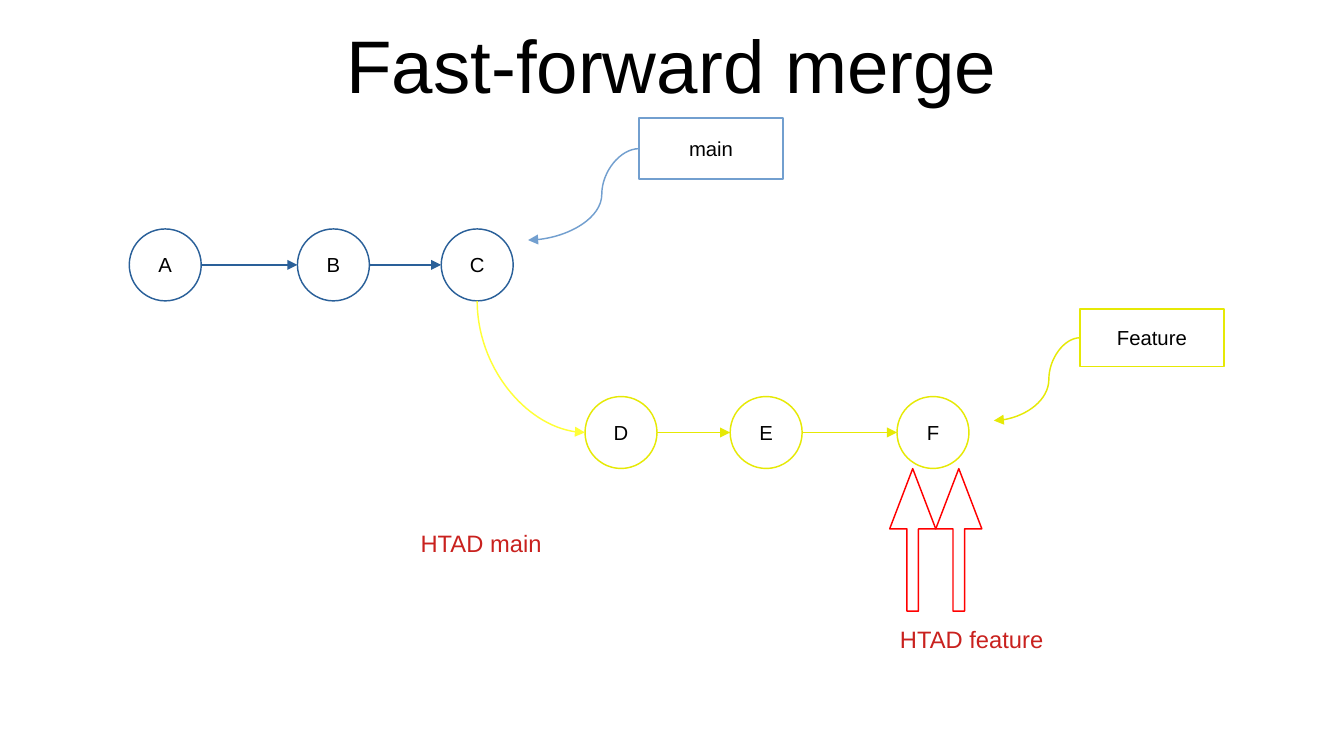
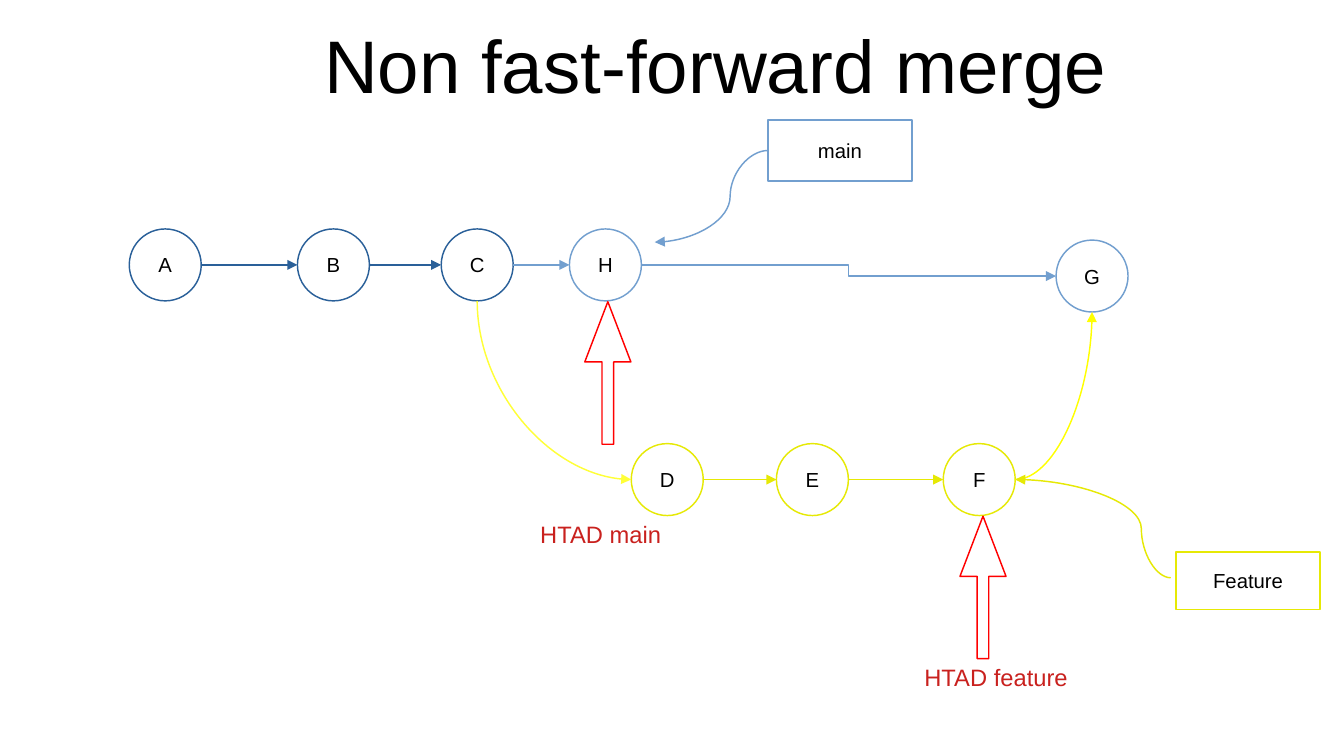
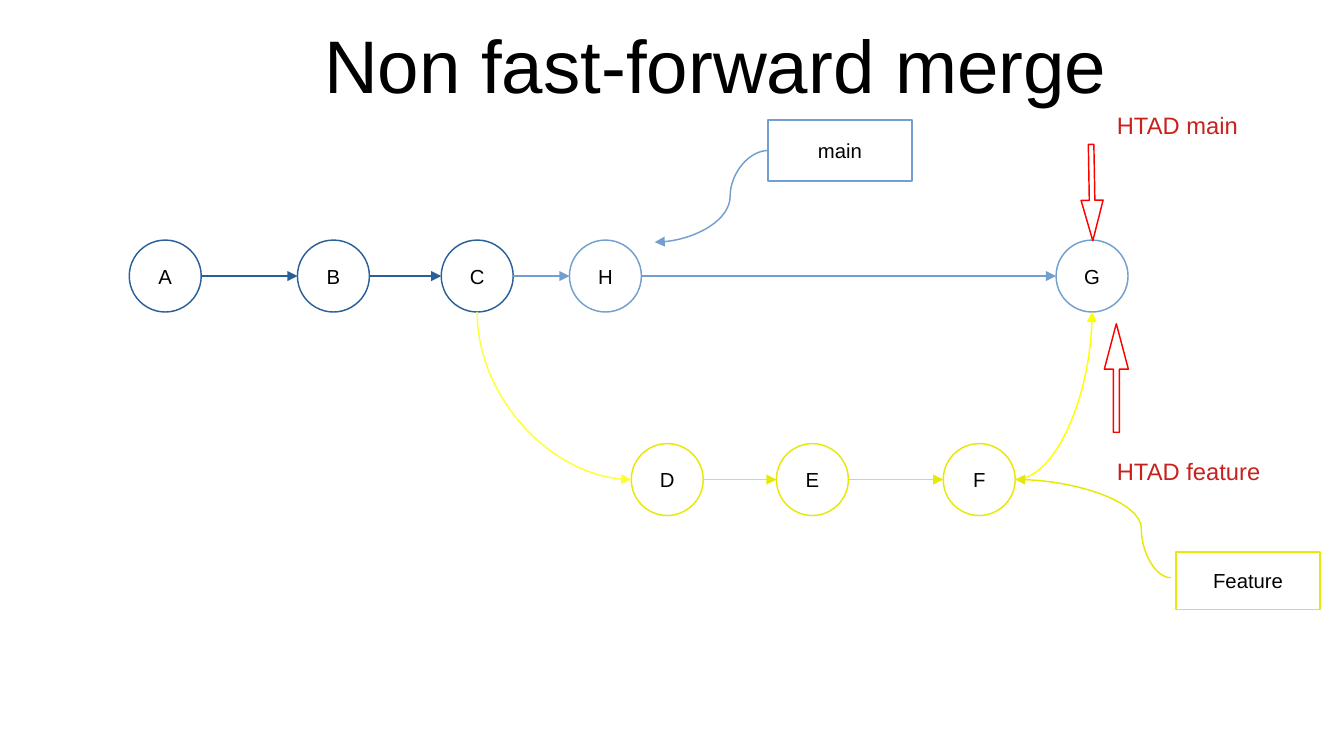
import pptx
import pptx.util
import pptx.dml.color
import pptx.enum.shapes
import pptx.enum.text
import pptx.oxml.ns
import lxml.etree

Pt = pptx.util.Pt
RGB = pptx.dml.color.RGBColor.from_string
SHAPE = pptx.enum.shapes.MSO_SHAPE
LINE = pptx.enum.shapes.MSO_CONNECTOR
ALIGN = pptx.enum.text.PP_ALIGN
ANCHOR = pptx.enum.text.MSO_ANCHOR
AUTO = pptx.enum.text.MSO_AUTO_SIZE
qn = pptx.oxml.ns.qn

COLORS = {
    "white": "FFFFFF", "black": "000000", "blue": "2A6099", "sky": "729FCF",
    "yellow": "E6E905", "fork": "FFFF38", "merge": "FFFF00",
    "red": "FF0000", "label": "C9211E",
}
FONT = "Arial"
LINE_WIDTH = 0.85
NODE = 42.5
TAG_WIDTH = 85
TRUNK = {"A": (76.3, "blue"), "B": (175.6, "blue"), "C": (260.5, "blue")}
MERGED = {"H": (336.2, "sky"), "G": (623.5, "sky")}
BRANCH = {"D": 0, "E": 85.7, "F": 184.2}
SITES = {"top": (0, 0.5, 0), "left": (2, 0, 0.5), "bottom": (4, 0.5, 1), "right": (6, 1, 0.5)}

SLIDES = [
    {
        "title": "Fast-forward merge", "title_left": 39.6,
        "trunk_top": 135.2, "branch": (345.4, 234.2), "merged": False,
        "main": (377.3, 69.8), "main_tip": (311.8, 141.8), "main_bend": 0.336,
        "feature": (637.6, 182.5), "feature_tip": (586.8, 248.4),
        "arrows": [(SHAPE.UP_ARROW, 525.3, 276.8, 27.2, 84.2, 1.308, 0),
                   (SHAPE.UP_ARROW, 552.5, 276.8, 27.2, 84.2, 1.308, 0)],
        "labels": [("HTAD main", 241.2, 311.8, 85.7), ("HTAD feature", 524.2, 368.6, 99.4)],
    },
    {
        "title": "Non fast-forward merge", "title_left": 65.5,
        "trunk_top": 135.2, "branch": (372.7, 262), "merged": True,
        "main": (453.4, 70.9), "main_tip": (386.6, 143), "main_bend": 0.334,
        "feature": (694.4, 326),
        "arrows": [(SHAPE.UP_ARROW, 345.3, 178.2, 27.2, 84.2, 1.308, 0),
                   (SHAPE.UP_ARROW, 566.8, 304.9, 27.2, 84.2, 1.308, 0)],
        "labels": [("HTAD main", 311.8, 306, 85.7), ("HTAD feature", 538.6, 391, 99.4)],
    },
    {
        "title": "Non fast-forward merge", "title_left": 65.5,
        "trunk_top": 141.8, "branch": (372.7, 262), "merged": True,
        "main": (453.4, 70.9), "main_tip": (386.6, 143), "main_bend": 0.334,
        "feature": (694.4, 326),
        "arrows": [(SHAPE.DOWN_ARROW, 638.2, 85.3, 13, 56.9, 1.838, -1),
                   (SHAPE.UP_ARROW, 652, 191.2, 14.2, 64.1, 1.891, 0)],
        "labels": [("HTAD main", 652.3, 64.8, 85.7), ("HTAD feature", 652.3, 269.3, 99.4)],
    },
]


def add_box(s, kind, x, y, w, h, color, text=""):
    sp = s.shapes.add_shape(kind, Pt(x), Pt(y), Pt(w), Pt(h))
    sp.shadow.inherit = False
    sp.fill.solid()
    sp.fill.fore_color.rgb = RGB(COLORS["white"])
    sp.line.color.rgb = RGB(COLORS[color])
    sp.line.width = Pt(LINE_WIDTH)
    if text:
        tf = sp.text_frame
        tf.word_wrap = False
        tf.vertical_anchor = ANCHOR.MIDDLE
        p = tf.paragraphs[0]
        p.text = text
        p.alignment = ALIGN.CENTER
        p.font.name = FONT
        p.font.size = Pt(12)
        p.font.color.rgb = RGB(COLORS["black"])
    return sp


def add_link(s, kind, start, end, color, tip="tailEnd", preset=None, bend=None):
    points, glue = [], []
    for tag, (a, b) in (("a:stCxn", start), ("a:endCxn", end)):
        if b in SITES:
            site, fx, fy = SITES[b]
            points += [a.left + int(a.width * fx), a.top + int(a.height * fy)]
            glue.append((tag, a.shape_id, site))
        else:
            points += [Pt(a), Pt(b)]
    c = s.shapes.add_connector(kind, *points)
    c.line.color.rgb = RGB(COLORS[color])
    c.line.width = Pt(LINE_WIDTH)
    spPr = c.element.spPr
    lxml.etree.SubElement(spPr.find(qn("a:ln")), qn("a:" + tip), type="triangle")
    lxml.etree.SubElement(spPr, qn("a:effectLst"))
    holder = c.element.find(".//" + qn("p:cNvCxnSpPr"))
    for tag, shape_id, site in glue:
        lxml.etree.SubElement(holder, qn(tag), id=str(shape_id), idx=str(site))
    geom = spPr.find(qn("a:prstGeom"))
    if preset:
        geom.set("prst", preset)
    if bend:
        lxml.etree.SubElement(geom.find(qn("a:avLst")), qn("a:gd"),
                              name="adj1", fmla=f"val {round(bend * 100000)}")
    return c


prs = pptx.Presentation()
prs.slide_width = Pt(793.5)
prs.slide_height = Pt(446.5)

for spec in SLIDES:
    s = prs.slides.add_slide(prs.slide_layouts[5])

    title = s.shapes.title
    title.left, title.top = Pt(spec["title_left"]), Pt(0)
    title.width, title.height = Pt(714.2), Pt(74.9)
    tf = title.text_frame
    tf.margin_left = tf.margin_right = tf.margin_top = tf.margin_bottom = 0
    tf.auto_size = AUTO.NONE
    tf.word_wrap = True
    tf.vertical_anchor = ANCHOR.MIDDLE
    p = tf.paragraphs[0]
    p.text = spec["title"]
    p.alignment = ALIGN.CENTER
    p.font.name = FONT
    p.font.size = Pt(44)
    p.font.color.rgb = RGB(COLORS["black"])

    branch_left, branch_top = spec["branch"]
    commits = {n: (x, spec["trunk_top"], color) for n, (x, color) in TRUNK.items()}
    commits.update({n: (branch_left + dx, branch_top, "yellow") for n, dx in BRANCH.items()})
    links = [("A", "B", "blue"), ("B", "C", "blue"), ("D", "E", "yellow"), ("E", "F", "yellow")]
    if spec["merged"]:
        commits["H"] = (MERGED["H"][0], spec["trunk_top"], MERGED["H"][1])
        commits["G"] = (MERGED["G"][0], 141.8, MERGED["G"][1])
        links += [("C", "H", "sky"), ("H", "G", "sky")]

    nodes = {n: add_box(s, SHAPE.FLOWCHART_CONNECTOR, x, y, NODE, NODE, color, n)
             for n, (x, y, color) in commits.items()}
    for a, b, color in links:
        level = nodes[a].top == nodes[b].top
        add_link(s, LINE.STRAIGHT if level else LINE.ELBOW,
                 (nodes[a], "right"), (nodes[b], "left"), color)
    add_link(s, LINE.CURVE, (nodes["D"], "left"), (nodes["C"], "bottom"), "fork",
             tip="headEnd", preset="curvedConnector2")
    if spec["merged"]:
        add_link(s, LINE.CURVE, (nodes["F"], "right"), (nodes["G"], "bottom"), "merge",
                 preset="curvedConnector2")

    x, y = spec["main"]
    main_tag = add_box(s, SHAPE.FLOWCHART_PROCESS, x, y, TAG_WIDTH, 36, "sky", "main")
    c = add_link(s, LINE.CURVE, (x, y + 18), spec["main_tip"], "sky", bend=spec["main_bend"])
    c.begin_connect(main_tag, 1)

    x, y = spec["feature"]
    feature_tag = add_box(s, SHAPE.FLOWCHART_PROCESS, x, y, TAG_WIDTH, 34, "yellow", "Feature")
    if spec["merged"]:
        add_link(s, LINE.CURVE, (x - 3.2, y + 15.3), (nodes["F"], "right"), "yellow", bend=0.189)
    else:
        c = add_link(s, LINE.CURVE, (x, y + 17), spec["feature_tip"], "yellow", bend=0.36)
        c.begin_connect(feature_tag, 1)

    for kind, x, y, w, h, head, turn in spec["arrows"]:
        sp = add_box(s, kind, x, y, w, h, "red")
        sp.adjustments[0] = 0.252
        sp.adjustments[1] = head
        sp.rotation = turn

    for text, x, y, w in spec["labels"]:
        tf = s.shapes.add_textbox(Pt(x), Pt(y), Pt(w), Pt(20.2)).text_frame
        tf.margin_top = Pt(0.7)
        tf.word_wrap = False
        tf.auto_size = AUTO.SHAPE_TO_FIT_TEXT
        p = tf.paragraphs[0]
        p.text = text
        p.font.name = FONT
        p.font.size = Pt(14)
        p.font.color.rgb = RGB(COLORS["label"])

prs.save("out.pptx")
